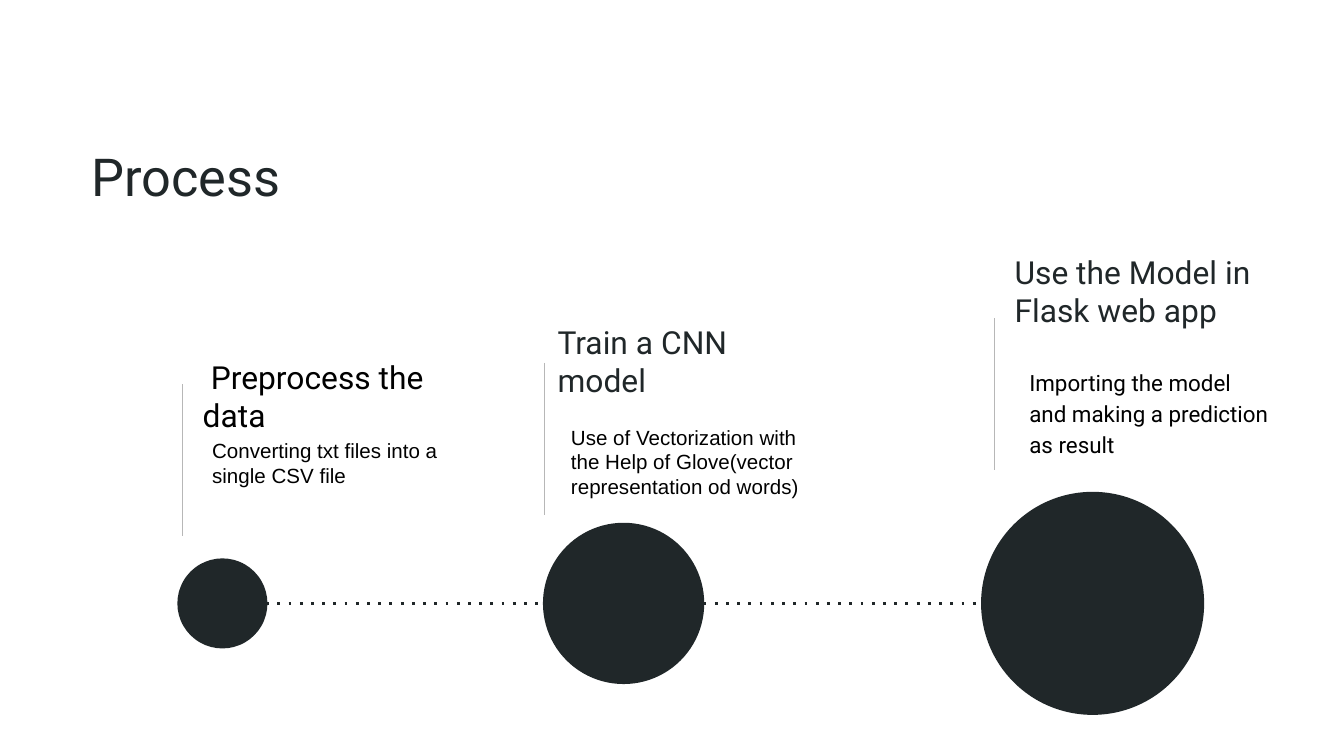
from pptx import Presentation
from pptx.dml.color import RGBColor
from pptx.enum.shapes import MSO_CONNECTOR, MSO_SHAPE
from pptx.enum.text import MSO_ANCHOR, MSO_AUTO_SIZE, PP_ALIGN
from pptx.util import Inches, Pt
from lxml import etree

STRAIGHT = MSO_CONNECTOR.STRAIGHT
OVAL = MSO_SHAPE.OVAL
TOP, MIDDLE = MSO_ANCHOR.TOP, MSO_ANCHOR.MIDDLE
LEFT = PP_ALIGN.LEFT
NO_FIT = MSO_AUTO_SIZE.NONE
A = "{http://schemas.openxmlformats.org/drawingml/2006/main}"
COLORS = {"dark": "202729", "grey": "B7B7B7", "black": "000000"}

prs = Presentation()
prs.slide_width = Inches(10)
prs.slide_height = Inches(10 * 9 / 16)
s = prs.slides.add_slide(prs.slide_layouts[5])


def add_text(text, box, size, color="black", font="Roboto", anchor=TOP,
             spacing=None, after=0, indent=0, shape=None):
    x, y, w, h = [Inches(v) for v in box]
    sp = shape or s.shapes.add_textbox(x, y, w, h)
    sp.left, sp.top, sp.width, sp.height = x, y, w, h
    tf = sp.text_frame
    tf.word_wrap = True
    tf.auto_size = NO_FIT
    tf.vertical_anchor = anchor
    tf.margin_left = tf.margin_right = tf.margin_top = tf.margin_bottom = Inches(0.1)
    p = tf.paragraphs[0]
    p.alignment = LEFT
    p.space_before, p.space_after = Pt(0), Pt(after)
    if spacing:
        p.line_spacing = spacing
    if indent:
        p._p.get_or_add_pPr().set("indent", str(Inches(indent)))
    r = p.add_run()
    r.text = text
    r.font.size, r.font.name = Pt(size), font
    r.font.color.rgb = RGBColor.from_string(COLORS[color])


def add_line(x1, y1, x2, y2, color, width, dash=None):
    ln = s.shapes.add_connector(STRAIGHT, Inches(x1), Inches(y1), Inches(x2), Inches(y2))
    ln.line.color.rgb = RGBColor.from_string(COLORS[color])
    ln.line.width = Pt(width)
    sp_pr = ln._element.spPr
    if dash:
        etree.SubElement(sp_pr.find(A + "ln"), A + "prstDash", val=dash)
    etree.SubElement(sp_pr, A + "effectLst")


add_text("Process", (0.58, 0.97, 9.32, 0.63), 28, "dark", shape=s.shapes.title)

steps = [
    ("Preprocess the data", (1.41, 2.73), {"color": "black", "indent": 0.06}, (1.36, 2.86)),
    ("Train a CNN model", (4.05, 2.47), {"color": "dark"}, (4.05, 2.7)),
    ("Use the Model in Flask web app", (7.45, 1.95), {"color": "dark"}, (7.4, 2.37)),
]
for heading, (x, y), style, (rule_x, rule_y) in steps:
    add_line(rule_x, rule_y, rule_x, rule_y + 1.13, "grey", 0.75)
    add_text(heading, (x, y, 1.98, 0.43), 17, anchor=MIDDLE, **style)

add_text("Importing the model and making a prediction as result",
         (7.56, 2.62, 1.98, 0.63), 12, spacing=1.15, after=16)

axis_y = 4.49
circles = [(1.32, 0.67), (4.04, 1.2), (7.3, 1.66)]
add_line(1.98, axis_y, 7.3, axis_y, "dark", 1.5, "dot")
for x, d in circles:
    sp = s.shapes.add_shape(OVAL, Inches(x), Inches(axis_y - d / 2), Inches(d), Inches(d))
    sp.shadow.inherit = False
    sp.fill.solid()
    sp.fill.fore_color.rgb = RGBColor.from_string(COLORS["dark"])
    sp.line.fill.background()

add_text("Converting txt files into a single CSV file",
         (1.48, 3.16, 1.98, 0.53), 11, font="Arial")
add_text("Use of Vectorization with the Help of Glove(vector representation od words)",
         (4.15, 3.06, 1.98, 0.53), 11, font="Arial")

prs.save("out.pptx")
